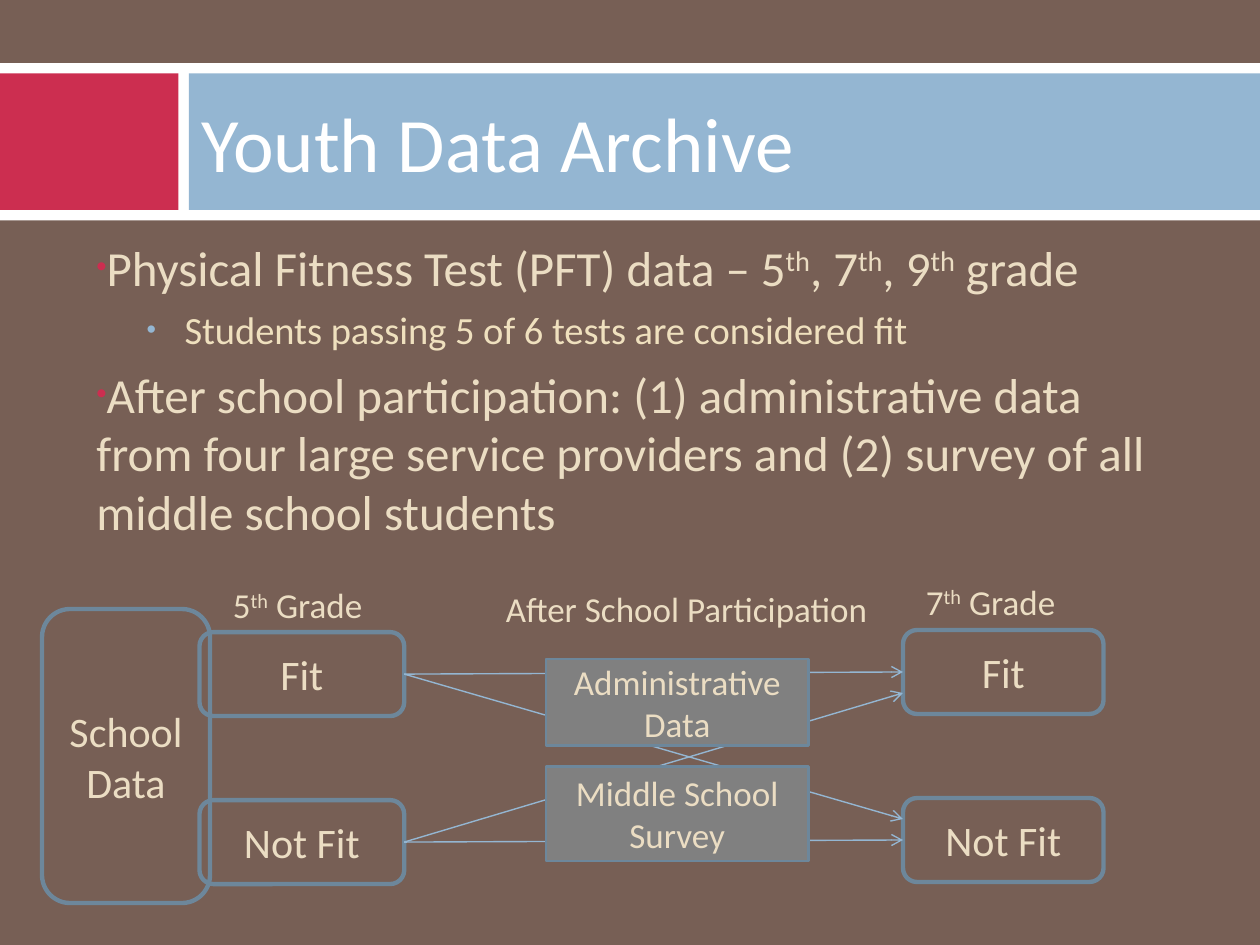
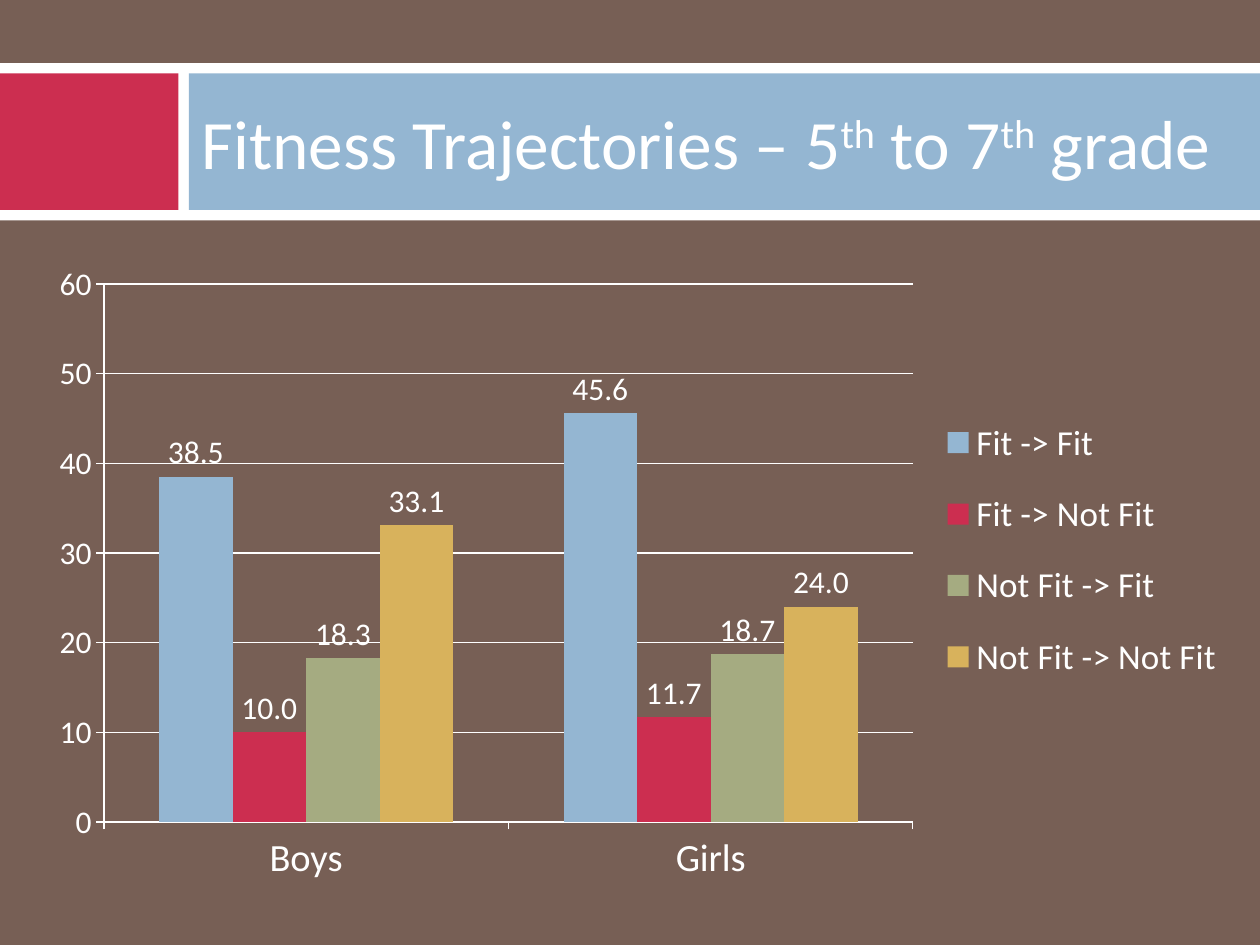
from lxml import etree
from pptx import Presentation
from pptx.chart.data import CategoryChartData
from pptx.dml.color import RGBColor
from pptx.enum.chart import XL_CHART_TYPE, XL_LABEL_POSITION, XL_LEGEND_POSITION, XL_TICK_MARK
from pptx.enum.shapes import MSO_CONNECTOR, MSO_SHAPE
from pptx.enum.text import MSO_ANCHOR, PP_ALIGN
from pptx.oxml.ns import qn
from pptx.util import Inches, Pt

COLORS = {
    "brown": "775F55", "white": "FFFFFF", "red": "CC2E50", "blue": "94B6D2",
    "sand": "EBDDC3", "cream": "EFE0BE", "steel": "6D879B", "gray": "808080",
    "green": "A5AB81", "gold": "D8B25C",
}
FONT = "Calibri"
UNIT = Inches(1 / 12)  # one grid column or row: the slide is 120 by 90


def color(name):
    return RGBColor.from_string(COLORS[name])


def units(*values):
    return [round(value * UNIT) for value in values]


def add_xml(parent, tag, **attributes):
    child = etree.SubElement(parent, qn(tag))
    for name, value in attributes.items():
        child.set(name, str(value))
    return child


def write(para, text, size=20, ink="sand", align=PP_ALIGN.LEFT, before=0):
    """Fill a paragraph; text between carets is raised."""
    para.alignment = align
    para.space_before = Pt(before)
    for index, piece in enumerate(text.split("^")):
        if not piece:
            continue
        span = para.add_run()
        span.text = piece
        span.font.name, span.font.size = FONT, Pt(size)
        span.font.color.rgb = color(ink)
        if index % 2:
            span.font._element.set("baseline", "30000")


def set_layout(element, x, y, w, h, inner=False):
    """Place a chart part by shares of the chart's size."""
    for old in element.findall(qn("c:layout")):
        element.remove(old)
    layout = etree.Element(qn("c:layout"))
    manual = add_xml(layout, "c:manualLayout")
    if inner:
        add_xml(manual, "c:layoutTarget", val="inner")
    for axis in "xy":
        add_xml(manual, f"c:{axis}Mode", val="edge")
    for name, value in zip("xywh", (x, y, w, h)):
        add_xml(manual, f"c:{name}", val=value)
    legend_position = element.find(qn("c:legendPos"))
    if legend_position is None:
        element.insert(0, layout)
    else:
        legend_position.addnext(layout)


class Slides:
    def __init__(self):
        self.deck = Presentation()
        self.deck.slide_width, self.deck.slide_height = units(120, 90)
        self.page = None

    def new_page(self, title, size):
        self.page = self.deck.slides.add_slide(self.deck.slide_layouts[6])
        fill = self.page.background.fill
        fill.solid()
        fill.fore_color.rgb = color("brown")
        # Title band
        self.box((0, 6, 120, 15), fill="white")
        self.box((0, 7, 17, 13), fill="red")
        self.box((18, 7, 102, 13), fill="blue")
        self.label((18, 7, 100, 13), title, anchor=MSO_ANCHOR.MIDDLE, size=size, ink="white")

    def box(self, place, text="", kind=MSO_SHAPE.RECTANGLE, fill=None, line=None, width=2.5, size=24):
        shape = self.page.shapes.add_shape(kind, *units(*place))
        shape.shadow.inherit = False
        if fill:
            shape.fill.solid()
            shape.fill.fore_color.rgb = color(fill)
        else:
            shape.fill.background()
        if line:
            shape.line.color.rgb = color(line)
            shape.line.width = Pt(width)
        else:
            shape.line.fill.background()
        if text:
            shape.text_frame.word_wrap = True
            shape.text_frame.vertical_anchor = MSO_ANCHOR.MIDDLE
            write(shape.text_frame.paragraphs[0], text, size=size, align=PP_ALIGN.CENTER)

    def outline(self, place, text):
        self.box(place, text, kind=MSO_SHAPE.ROUNDED_RECTANGLE, line="steel")

    def label(self, place, text, anchor=MSO_ANCHOR.TOP, **style):
        frame = self.page.shapes.add_textbox(*units(*place)).text_frame
        frame.word_wrap = True
        frame.vertical_anchor = anchor
        write(frame.paragraphs[0], text, **style)

    def bullets(self, place, items):
        frame = self.page.shapes.add_textbox(*units(*place)).text_frame
        frame.word_wrap = True
        levels = (
            dict(margin=0, hang=0, mark="red", share=60, style=dict(size=28, before=7)),
            dict(margin=0.7, hang=0.3, mark="blue", share=70,
                 style=dict(size=22, ink="cream", before=5.5)),
        )
        for index, (level, text) in enumerate(items):
            look = levels[level]
            para = frame.paragraphs[0] if index == 0 else frame.add_paragraph()
            para.level = level
            write(para, text, **look["style"])
            settings = para._p.get_or_add_pPr()
            settings.set("marL", str(Inches(look["margin"])))
            settings.set("indent", str(-Inches(look["hang"])))
            add_xml(add_xml(settings, "a:buClr"), "a:srgbClr", val=COLORS[look["mark"]])
            add_xml(settings, "a:buSzPct", val=look["share"] * 1000)
            add_xml(settings, "a:buFont", typeface="Arial")
            add_xml(settings, "a:buChar", char="•")

    def arrow(self, start, end):
        line = self.page.shapes.add_connector(MSO_CONNECTOR.STRAIGHT, *units(*start, *end))
        line.line.color.rgb = color("blue")
        line.line.width = Pt(0.79)
        add_xml(line.line._get_or_add_ln(), "a:tailEnd", type="arrow")
        add_xml(line._element.spPr, "a:effectLst")

    def column_chart(self, place, categories, series):
        data = CategoryChartData(number_format="0.0")
        data.categories = categories
        for name, values, _ in series:
            data.add_series(name, values)
        chart = self.page.shapes.add_chart(
            XL_CHART_TYPE.COLUMN_CLUSTERED, *units(*place), data).chart
        chart.has_title = False
        chart.font.name, chart.font.size = FONT, Pt(18)
        chart.font.color.rgb = color("white")

        # Columns and their values
        plot = chart.plots[0]
        plot.vary_by_categories = False
        plot.gap_width, plot.overlap = 150, 0
        for columns, (_, _, ink) in zip(plot.series, series):
            columns.format.fill.solid()
            columns.format.fill.fore_color.rgb = color(ink)
            labels = columns.data_labels
            labels.show_value = True
            labels.number_format, labels.number_format_is_linked = "0.0", False
            labels.position = XL_LABEL_POSITION.OUTSIDE_END

        # Axes
        scale = chart.value_axis
        scale.minimum_scale, scale.maximum_scale, scale.major_unit = 0, 60, 10
        scale.has_major_gridlines = True
        scale.tick_labels.number_format = "0"
        scale.tick_labels.number_format_is_linked = False
        chart.category_axis.tick_labels.font.size = Pt(22)
        for axis in (scale, chart.category_axis):
            axis.major_tick_mark = XL_TICK_MARK.OUTSIDE
            axis.format.line.color.rgb = color("white")
        scale.major_gridlines.format.line.color.rgb = color("white")

        # Legend
        chart.has_legend = True
        legend = chart.legend
        legend.position = XL_LEGEND_POSITION.RIGHT
        legend.include_in_layout = False
        legend.font.size = Pt(20)
        legend.font.color.rgb = color("white")
        set_layout(legend._element, 0.74, 0.22, 0.26, 0.49)
        set_layout(chart._chartSpace.chart.plotArea, 0.06, 0.05, 0.67, 0.84, inner=True)


def archive_page(slides):
    slides.new_page("Youth Data Archive", 44)
    slides.bullets((8, 22, 103.5, 32), [
        (0, "Physical Fitness Test (PFT) data – 5^th^, 7^th^, 9^th^ grade"),
        (1, "Students passing 5 of 6 tests are considered fit"),
        (0, "After school participation: (1) administrative data from four large "
            "service providers and (2) survey of all middle school students"),
    ])

    # School data by grade
    slides.outline((4, 58, 16, 28), "School Data")
    grades = (("5^th^ Grade", 19, 60.2, 19.5, 21, 55), ("7^th^ Grade", 86, 60, 19.1, 87, 54.7))
    for grade, left, top, width, label_left, label_top in grades:
        for row, status in enumerate(("Fit", "Not Fit")):
            slides.outline((left, top + 16 * row, width, 8), status)
        slides.label((label_left, label_top, 21, 5.3), grade)

    # Paths from fifth to seventh grade
    for start, ends in ((64.2, (64, 78)), (80.2, (66, 80))):
        for end in ends:
            slides.arrow((38.5, start), (86, end))

    # After school sources
    for text, top, height in (("Middle School Survey", 73, 9), ("Administrative Data", 62.75, 8.25)):
        slides.box((52, top, 25, height), text, fill="gray", line="steel", width=1.5, size=20)
    slides.label((47, 55.4, 37, 5.3), "After School Participation")


def trajectories_page(slides):
    slides.new_page("Fitness Trajectories – 5^th^ to 7^th^ grade", 39.6)
    slides.column_chart((3, 24, 115, 61), ("Boys", "Girls"), (
        ("Fit -> Fit", (38.5, 45.6), "blue"),
        ("Fit -> Not Fit", (10, 11.7), "red"),
        ("Not Fit -> Fit", (18.3, 18.7), "green"),
        ("Not Fit -> Not Fit", (33.1, 24), "gold"),
    ))


def main():
    slides = Slides()
    archive_page(slides)
    trajectories_page(slides)
    slides.deck.save("out.pptx")


if __name__ == "__main__":
    main()
